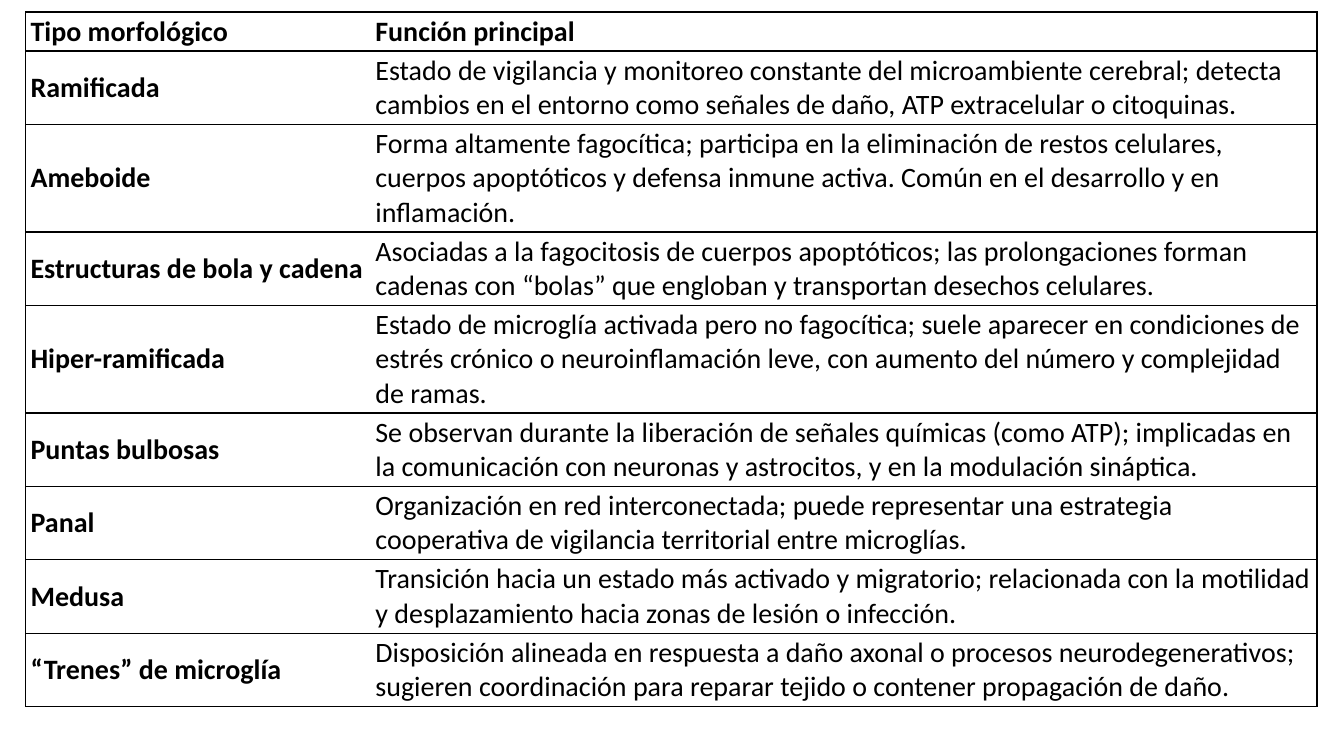
import lxml.etree
import pptx
import pptx.dml.color
import pptx.enum.text
import pptx.oxml.ns
import pptx.util

Cm = pptx.util.Cm
COLORS = {"ink": "000000", "paper": "FFFFFF"}
FONT = "Calibri"

# Header and one row per microglia type: name, function, lines of text
morphologies = [
    ("Tipo morfológico", "Función principal", 1),
    ("Ramificada", "Estado de vigilancia y monitoreo constante del microambiente cerebral; "
     "detecta cambios en el entorno como señales de daño, ATP extracelular o citoquinas.", 2),
    ("Ameboide", "Forma altamente fagocítica; participa en la eliminación de restos celulares, "
     "cuerpos apoptóticos y defensa inmune activa. Común en el desarrollo y en inflamación.", 3),
    ("Estructuras de bola y cadena", "Asociadas a la fagocitosis de cuerpos apoptóticos; las "
     "prolongaciones forman cadenas con “bolas” que engloban y transportan desechos celulares.", 2),
    ("Hiper-ramificada", "Estado de microglía activada pero no fagocítica; suele aparecer en "
     "condiciones de estrés crónico o neuroinflamación leve, con aumento del número y "
     "complejidad de ramas.", 3),
    ("Puntas bulbosas", "Se observan durante la liberación de señales químicas (como ATP); "
     "implicadas en la comunicación con neuronas y astrocitos, y en la modulación sináptica.", 2),
    ("Panal", "Organización en red interconectada; puede representar una estrategia "
     "cooperativa de vigilancia territorial entre microglías.", 2),
    ("Medusa", "Transición hacia un estado más activado y migratorio; relacionada con la "
     "motilidad y desplazamiento hacia zonas de lesión o infección.", 2),
    ("“Trenes” de microglía", "Disposición alineada en respuesta a daño axonal o procesos "
     "neurodegenerativos; sugieren coordinación para reparar tejido o contener propagación "
     "de daño.", 2),
]
column_widths = [8.69, 23.85]
line_height, row_padding = 0.86, 0.12
row_heights = [lines * line_height + row_padding for _, _, lines in morphologies]


def set_borders(cell, visible):
    """Draw the visible sides in ink and clear the others."""
    properties = cell._tc.get_or_add_tcPr()
    for position, side in enumerate(("lnL", "lnR", "lnT", "lnB")):
        line = lxml.etree.Element(pptx.oxml.ns.qn("a:" + side), w=str(pptx.util.Pt(1)))
        if side in visible:
            fill = lxml.etree.SubElement(line, pptx.oxml.ns.qn("a:solidFill"))
            lxml.etree.SubElement(fill, pptx.oxml.ns.qn("a:srgbClr"), val=COLORS["ink"])
        else:
            lxml.etree.SubElement(line, pptx.oxml.ns.qn("a:noFill"))
        properties.insert(position, line)


# Slide
deck = pptx.Presentation()
deck.slide_width, deck.slide_height = Cm(33.87), Cm(19.05)
slide = deck.slides.add_slide(deck.slide_layouts[6])

# Table grid
table = slide.shapes.add_table(
    len(morphologies), len(column_widths), Cm(0.65), Cm(0.3),
    Cm(sum(column_widths)), Cm(sum(row_heights))).table
table.horz_banding = False
for column, width in zip(table.columns, column_widths):
    column.width = Cm(width)
for row, height in zip(table.rows, row_heights):
    row.height = Cm(height)

# Cells: bold header row and names, frame without an inner vertical line
for row_index, (name, function, _) in enumerate(morphologies):
    for column_index, text in enumerate((name, function)):
        cell = table.cell(row_index, column_index)
        cell.margin_left = cell.margin_right = Cm(0.12)
        cell.margin_top = cell.margin_bottom = Cm(0.06)
        cell.vertical_anchor = pptx.enum.text.MSO_ANCHOR.MIDDLE
        cell.fill.solid()
        cell.fill.fore_color.rgb = pptx.dml.color.RGBColor.from_string(COLORS["paper"])
        set_borders(cell, ("lnT", "lnB", "lnL" if column_index == 0 else "lnR"))

        run = cell.text_frame.paragraphs[0].add_run()
        run.text = text
        run.font.name = FONT
        run.font.size = pptx.util.Pt(20)
        run.font.bold = row_index == 0 or column_index == 0
        run.font.color.rgb = pptx.dml.color.RGBColor.from_string(COLORS["ink"])

deck.save("out.pptx")
